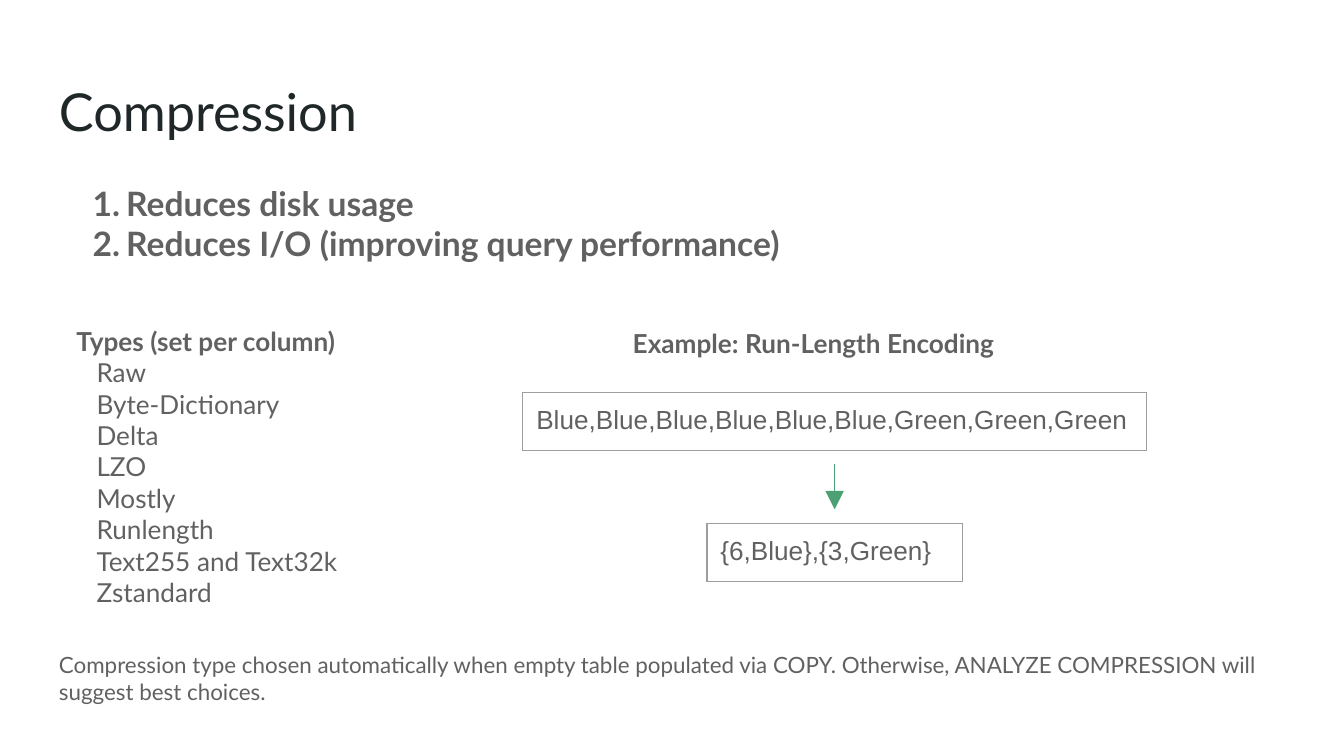
from lxml.etree import SubElement
from pptx import Presentation
from pptx.dml.color import RGBColor
from pptx.enum.shapes import MSO_CONNECTOR
from pptx.oxml.ns import qn
from pptx.util import Pt

EMU_PER_PX = 4572  # 200 px to the inch
INSET = 20

INK = RGBColor(0x20, 0x27, 0x29)
GREY = RGBColor(0x61, 0x61, 0x61)
BORDER = RGBColor(0x9E, 0x9E, 0x9E)
GREEN = RGBColor(0x4B, 0xA1, 0x73)


def px(length):
    return length * EMU_PER_PX


def write(paragraph, text, size=14, font="Lato", color=GREY, bold=False,
          margin=0, indent=0, numbered=False):
    run = paragraph.add_run()
    run.text = text
    run.font.size = Pt(size)
    run.font.name = font
    run.font.color.rgb = color
    run.font.bold = bold
    properties = paragraph._p.get_or_add_pPr()
    properties.set("marL", str(px(margin)))
    properties.set("indent", str(px(indent)))
    if numbered:
        bullet_color = SubElement(properties, qn("a:buClr"))
        SubElement(bullet_color, qn("a:srgbClr"), val=str(color))
        SubElement(properties, qn("a:buFont"), typeface=font)
        SubElement(properties, qn("a:buAutoNum"), type="arabicPeriod")


class SlideBuilder:
    line_width = Pt(0.75)

    def __init__(self, slide):
        self.slide = slide

    def text(self, left, top, width, height, lines, **style):
        """Each line is a text with the format that differs from style."""
        shape = self.slide.shapes.add_textbox(px(left), px(top), px(width), px(height))
        frame = shape.text_frame
        frame.word_wrap = True
        frame.margin_left = frame.margin_right = px(INSET)
        frame.margin_top = frame.margin_bottom = px(INSET)
        for index, (text, changes) in enumerate(lines):
            paragraph = frame.add_paragraph() if index else frame.paragraphs[0]
            write(paragraph, text, **{**style, **changes})

    def boxed_value(self, left, top, width, height, text):
        shape = self.slide.shapes.add_table(1, 1, px(left), px(top), px(width), px(height))
        table = shape.table
        table.first_row = table.horz_banding = False
        cell = table.cell(0, 0)
        cell.margin_left = cell.margin_right = px(INSET)
        cell.margin_top = cell.margin_bottom = px(INSET)
        properties = cell._tc.get_or_add_tcPr()
        for side in ("a:lnL", "a:lnR", "a:lnT", "a:lnB"):
            border = SubElement(properties, qn(side), w=str(self.line_width))
            fill = SubElement(border, qn("a:solidFill"))
            SubElement(fill, qn("a:srgbClr"), val=str(BORDER))
        cell.fill.background()
        write(cell.text_frame.paragraphs[0], text, font="Arial")

    def down_arrow(self, x, top, bottom):
        connector = self.slide.shapes.add_connector(
            MSO_CONNECTOR.STRAIGHT, px(x), px(top), px(x), px(bottom))
        connector.line.color.rgb = GREEN
        connector.line.width = self.line_width
        line = connector.line._get_or_add_ln()
        SubElement(line, qn("a:tailEnd"), type="triangle", w="lg", len="lg")
        SubElement(connector._element.spPr, qn("a:effectLst"))


def main():
    presentation = Presentation()
    presentation.slide_width = px(2000)
    presentation.slide_height = px(1125)
    builder = SlideBuilder(presentation.slides.add_slide(presentation.slide_layouts[6]))

    # Title and benefits
    builder.text(68, 98, 1864, 126, [("Compression", {})], size=28, color=INK)
    benefits = ["Reduces disk usage", "Reduces I/O (improving query performance)"]
    builder.text(68, 252, 1864, 164, [(benefit, {}) for benefit in benefits],
                 size=18, bold=True, margin=100, indent=-50, numbered=True)

    # Compression types
    types = ["Raw", "Byte-Dictionary", "Delta", "LZO", "Mostly", "Runlength",
             "Text255 and Text32k", "Zstandard"]
    heading = ("Types (set per column)", {"bold": True, "margin": 0, "indent": 0})
    builder.text(94, 464, 512, 438, [heading] + [(name, {}) for name in types],
                 margin=100, indent=-70)

    # Run-length example
    builder.boxed_value(778, 584, 928, 84, ",".join(["Blue"] * 6 + ["Green"] * 3))
    builder.boxed_value(1052, 779, 380, 84, "{6,Blue},{3,Green}")
    builder.text(922, 467, 612, 96, [("Example: Run-Length Encoding", {})], bold=True)
    builder.down_arrow(1242, 691, 758)

    # Closing note
    note = ("Compression type chosen automatically when empty table populated via COPY. "
            "Otherwise, ANALYZE COMPRESSION will suggest best choices.")
    builder.text(68, 949, 1864, 116, [(note, {})], size=12)

    presentation.save("out.pptx")


if __name__ == "__main__":
    main()
